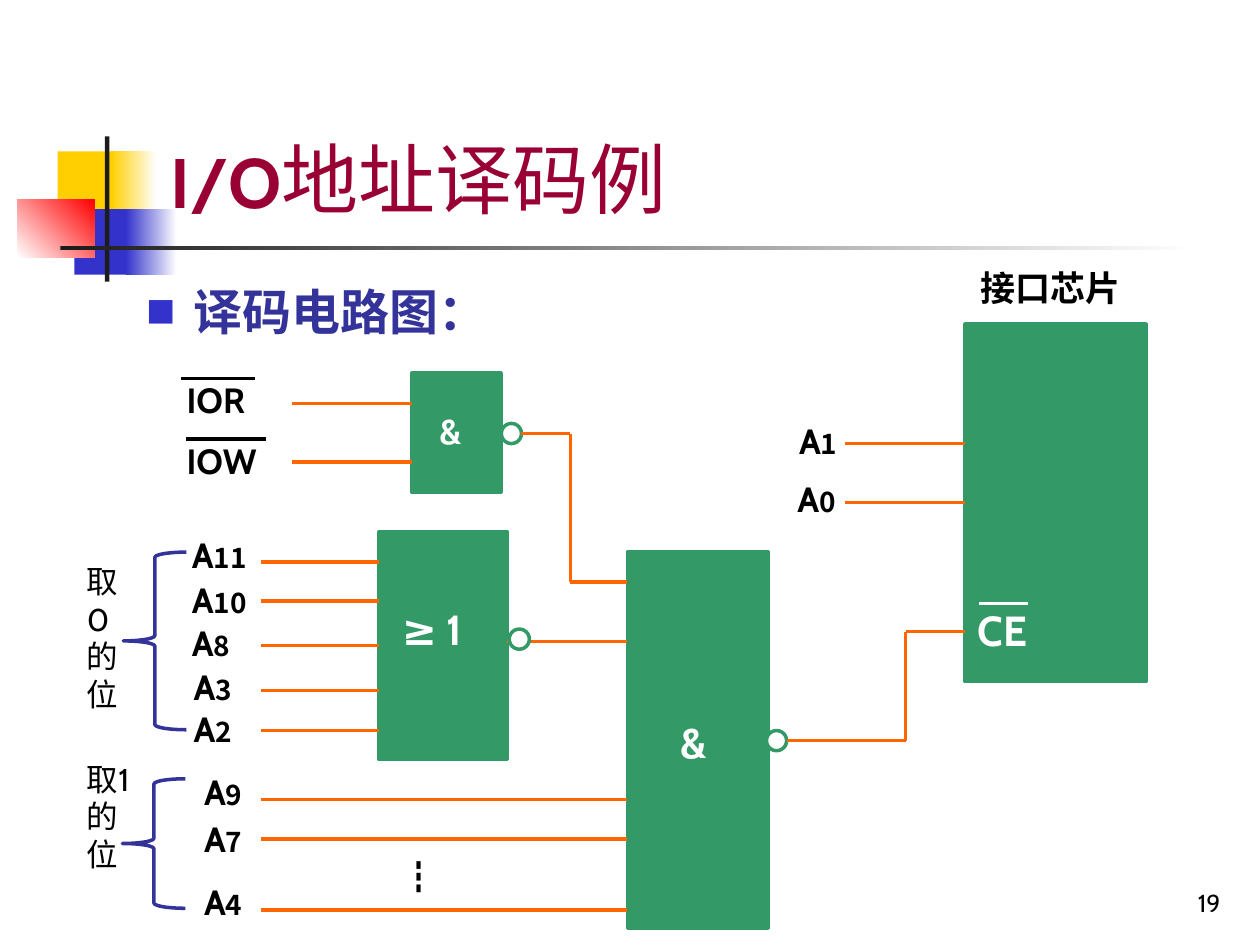
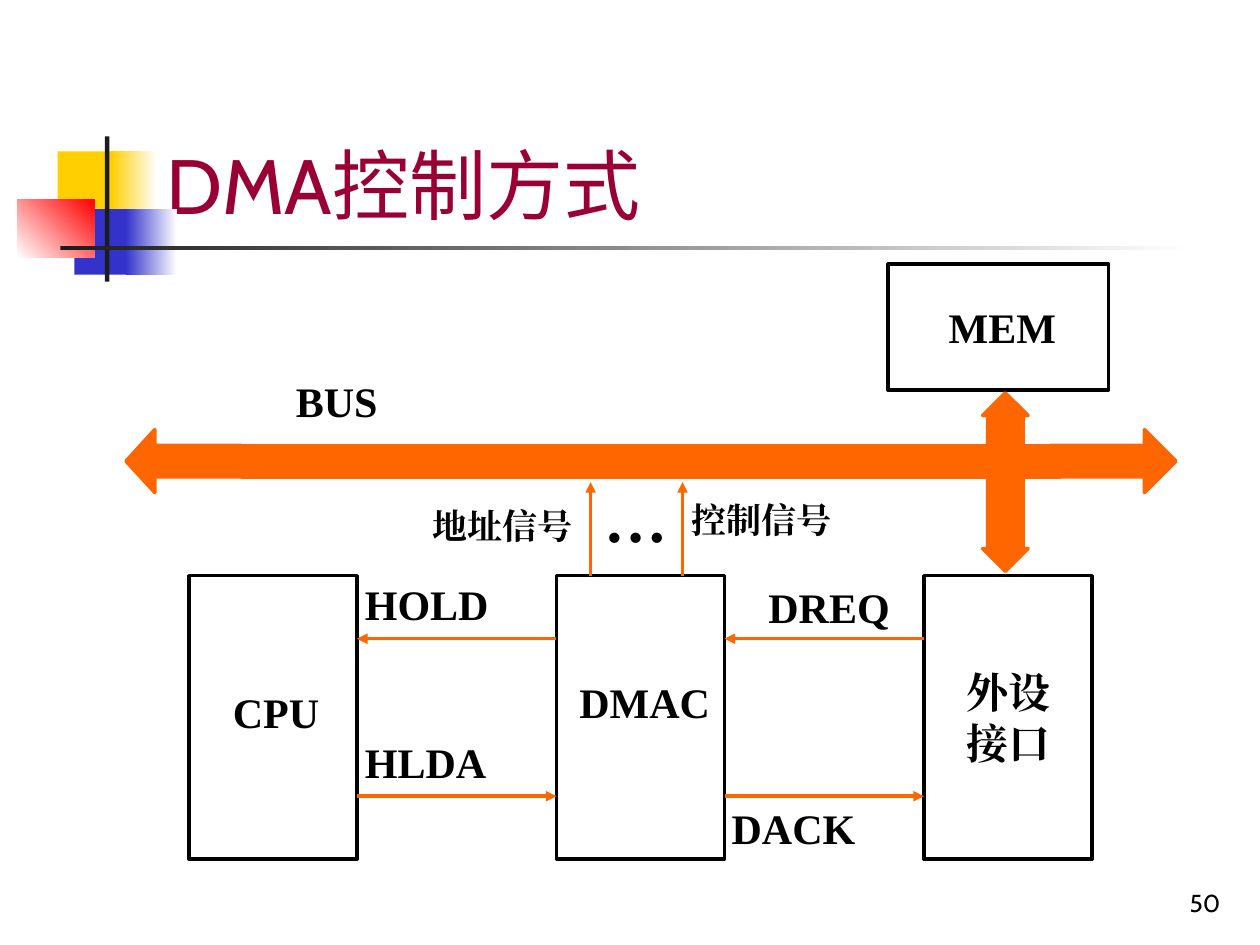
from lxml import etree
from pptx import Presentation
from pptx import util as u
from pptx.dml import color as dml
from pptx.enum import shapes, text
from pptx.oxml import ns

Pt = u.Pt
KIND = shapes.MSO_SHAPE
COLORS = {
    "black": "000000", "white": "FFFFFF", "title": "990033", "heading": "333399",
    "yellow": "FFCF01", "blue": "3333CC", "red": "FF0000", "rule": "1C1C1C",
    "gate": "339966", "wire": "FF6600",
}
SANS, CJK, SERIF = "Cabin", "Noto Sans CJK SC", "Times New Roman"


def rgb(name):
    return dml.RGBColor.from_string(COLORS[name])


def child(parent, tag, **attributes):
    return etree.SubElement(parent, ns.qn(tag), attributes)


def add_run(paragraph, content, size=20, font=SANS, color="black", bold=True):
    run = paragraph.add_run()
    run.text = content
    run.font.size = Pt(size)
    run.font.name = font
    run.font.bold = bold
    run.font.color.rgb = rgb(color)
    child(run.font._element, "a:ea", typeface=font)


class Deck:
    def __init__(self):
        self.presentation = Presentation()
        self.presentation.slide_width = Pt(720)
        self.presentation.slide_height = Pt(540)
        self.slide = None

    def start(self, layout, number):
        layouts = self.presentation.slide_layouts
        self.slide = self.presentation.slides.add_slide(layouts[layout])
        self.shape(33, 86.5, 34.5, 37.5, "yellow")
        self.shape(63.5, 86.5, 26, 37.5, gradient=("yellow", "white", 0))
        self.shape(42.5, 119.5, 33, 37.5, "blue")
        self.shape(72, 119.5, 29, 37.5, gradient=("blue", "white", 0))
        self.shape(10, 114, 44, 33, gradient=("white", "red", 45))
        self.shape(60, 78, 2.5, 83, "rule")
        self.shape(34.5, 140.5, 648, 2.5, gradient=("rule", "white", 0))
        frame = self.label(number, 554.5, 492, 150, 36, size=14, bold=False)
        frame.vertical_anchor = text.MSO_ANCHOR.BOTTOM
        frame.paragraphs[0].alignment = text.PP_ALIGN.RIGHT

    def shape(self, left, top, width, height, fill=None, line=None,
              kind=KIND.RECTANGLE, gradient=None, adjust=()):
        shape = self.slide.shapes.add_shape(
            kind, Pt(left), Pt(top), Pt(width), Pt(height))
        shape.shadow.inherit = False
        if gradient:
            shape.fill.gradient()
            *ends, angle = gradient
            shape.fill.gradient_angle = angle
            for stop, name, position in zip(shape.fill.gradient_stops, ends, (0, 1)):
                stop.color.rgb = rgb(name)
                stop.position = position
        else:
            shape.fill.solid()
            shape.fill.fore_color.rgb = rgb(fill)
        if line:
            shape.line.color.rgb = rgb(line)
            shape.line.width = Pt(2)
        else:
            shape.line.fill.background()
        for index, value in enumerate(adjust):
            shape.adjustments[index] = value
        return shape

    def bubble(self, left, top):
        self.shape(left, top, 11.5, 11.5, "white", "gate", KIND.OVAL)

    def wire(self, *points, color="wire", arrow=False):
        connectors = []
        for start, end in zip(points, points[1:]):
            connector = self.slide.shapes.add_connector(
                shapes.MSO_CONNECTOR.STRAIGHT, *map(Pt, start + end))
            connector.line.color.rgb = rgb(color)
            connector.line.width = Pt(2)
            properties = connector.element.spPr
            if arrow:
                child(properties.find(ns.qn("a:ln")), "a:tailEnd", type="triangle")
            child(properties, "a:effectLst")
            connectors.append(connector)
        return connectors

    def label(self, content, left, top, width=45.5, height=31, small="", **style):
        box = self.slide.shapes.add_textbox(Pt(left), Pt(top), Pt(width), Pt(height))
        frame = box.text_frame
        frame.word_wrap = True
        for index, line in enumerate(content.split("\n")):
            paragraph = frame.add_paragraph() if index else frame.paragraphs[0]
            add_run(paragraph, line, **style)
        if small:
            add_run(paragraph, small, **{**style, "size": 16, "font": CJK})
        return frame

    def placeholder(self, shape, left, top, width, height, runs):
        shape.left, shape.top = Pt(left), Pt(top)
        shape.width, shape.height = Pt(width), Pt(height)
        frame = shape.text_frame
        frame.auto_size = text.MSO_AUTO_SIZE.NONE
        paragraph = frame.paragraphs[0]
        paragraph.alignment = text.PP_ALIGN.LEFT
        paragraph.space_before = Pt(0)
        for content, style in runs:
            add_run(paragraph, content, **style)
        return frame

    def title(self, left, top, *runs):
        frame = self.placeholder(
            self.slide.shapes.title, left, top, 613.5, 115,
            [(content, dict(color="title", size=size, bold=bold))
             for content, size, bold in runs])
        frame.vertical_anchor = text.MSO_ANCHOR.BOTTOM

    def bullet(self, content, left, top, width, height):
        frame = self.placeholder(
            self.slide.placeholders[1], left, top, width, height,
            [(content, dict(size=28, color="heading"))])
        properties = frame.paragraphs[0]._p.get_or_add_pPr()
        properties.set("marL", str(Pt(27)))
        properties.set("indent", str(-Pt(27)))
        child(child(properties, "a:buClr"), "a:srgbClr", val=COLORS["blue"])
        child(properties, "a:buSzPct", val="60000")
        child(properties, "a:buFont", typeface=CJK)
        child(properties, "a:buChar", char="■")


def build_decoder(deck):
    deck.start(1, "19")
    deck.title(90.5, 16.5, ("I/O", 40, True), ("地址译码例", 44, False))
    deck.bullet("译码电路图：", 76.5, 157, 340.5, 49)

    chip = deck.shape(551.5, 185, 103.5, 204.5, "gate", "gate")
    deck.shape(358.5, 315.5, 80.5, 215, "gate", "gate")
    or_gate = deck.shape(216.5, 304, 73.5, 130, "gate", "gate")
    deck.shape(235.5, 213, 51, 68.5, "gate", "gate")

    address_inputs = [
        ("11", 102.5, 301.5, 149, 321, 216.5),
        ("10", 102.5, 327, 149, 343.5, 216.5),
        ("8", 102.5, 351.5, 149, 369, 216.5),
        ("3", 103.5, 376.5, 149, 394.5, 216.5),
        ("2", 103.5, 400.5, 149, 417.5, 216.5),
        ("9", 109.5, 437, 149, 457, 358.5),
        ("7", 109.5, 463.5, 149, 479.5, 358.5),
        ("4", 109.5, 499.5, 149, 520, 358.5),
        ("1", 449.5, 236, 483, 253.5, 551.5),
        ("0", 448.5, 269.5, 483, 287.25, 551.5),
    ]
    joined = {"8": or_gate, "0": chip}
    for digits, left, top, start, level, end in address_inputs:
        deck.label("A", left, top, 57, small=digits)
        connector, = deck.wire((start, level), (end, level))
        if digits in joined:
            connector.end_connect(joined[digits], 1)

    for name, top, level, bar_start, bar_end in [
            ("IOR", 213, 230.5, 103.5, 146), ("IOW", 247.5, 264, 106.5, 152)]:
        deck.wire((167, level), (235.5, level))
        deck.label(name, 99.5, top, 68.5)
        bar = top + 3.25
        deck.wire((bar_start, bar), (bar_end, bar), color="black")

    deck.wire((290, 366.5), (358.5, 366.5))
    for left, top in [(291, 359.5), (286.5, 242), (438, 417.5)]:
        deck.bubble(left, top)
    deck.wire((298, 247.75), (326, 247.75), (326, 332.5), (358.5, 332.5))
    deck.wire((449.5, 423.25), (517.5, 423.25), (517.5, 361), (551.5, 361))

    for content, left, top, width, size in [
            ("≥ 1", 222.5, 341.5, 68.5, 24), ("&", 381.5, 406, 51, 24),
            ("CE", 551.5, 342, 51, 24), ("&", 244, 230.5, 39.5, 20)]:
        deck.label(content, left, top, width, size=size, color="white")
    deck.wire((559.5, 345), (587.5, 345), color="white")
    deck.label("接口芯片", 553, 148.5, 113)
    deck.label("┇", 222.5, 485.5, font=CJK)

    for content, left, top, height, label_top in [
            ("取0的位", 70.5, 315.5, 101.5, 317.5),
            ("取1的位", 70, 445, 74, 430.5)]:
        deck.shape(left, top, 36, height, "white", "heading",
                   KIND.LEFT_BRACE, adjust=(0.083, 0.5))
        deck.label(content, 42.5, label_top, 39.5, 94.5, size=18, bold=False)


def build_dma(deck):
    deck.start(5, "50")
    deck.title(88, 20, ("DMA控制方式", 44, False))

    cpu, dmac, device = (108 + 210 * column for column in range(3))
    width = 96
    for left in (cpu, dmac, device):
        deck.shape(left, 329, width, 162, "white", "black")
    deck.shape(507.5, 151, 126, 72, "white", "black")

    for kind, left, top, arrow_width, height, adjust in [
            (KIND.UP_DOWN_ARROW, 561.5, 224.5, 26, 102, (0.5, 0.778)),
            (KIND.LEFT_ARROW, 72, 245.5, 66, 36, (0.5, 0.458)),
            (KIND.RIGHT_ARROW, 600, 245.5, 72, 36, (0.5, 0.5)),
            (KIND.RECTANGLE, 138, 255, 468, 18, ())]:
        deck.shape(left, top, arrow_width, height, "wire", "wire", kind, adjust=adjust)

    for left, right in [(cpu + width, dmac), (dmac + width, device)]:
        deck.wire((right, 365), (left, 365), arrow=True)
        deck.wire((left, 455), (right, 455), arrow=True)
    for signal in (337.5, 390):
        deck.wire((signal, 329), (signal, 275.5), arrow=True)

    for content, left, top, label_width, size in [
            ("DMAC", 324, 383, 99, 24), ("外设\n接口", 545.5, 377.5, 66, 24),
            ("CPU", 126, 389, 84, 24), ("DREQ", 432, 329, 84, 24),
            ("MEM", 535, 169, 99, 24), ("DACK", 411, 455, 96, 24),
            ("HOLD", 201.5, 327, 102, 24), ("HLDA", 201.5, 417.5, 102, 24),
            ("…", 338.5, 270.5, 66, 36), ("BUS", 162, 211, 72, 24),
            ("控制信号", 388, 281.5, 120, 20), ("地址信号", 240, 284.5, 120, 20)]:
        deck.label(content, left, top, label_width, size=size, font=SERIF)


def main():
    deck = Deck()
    build_decoder(deck)
    build_dma(deck)
    deck.presentation.save("out.pptx")


if __name__ == "__main__":
    main()
